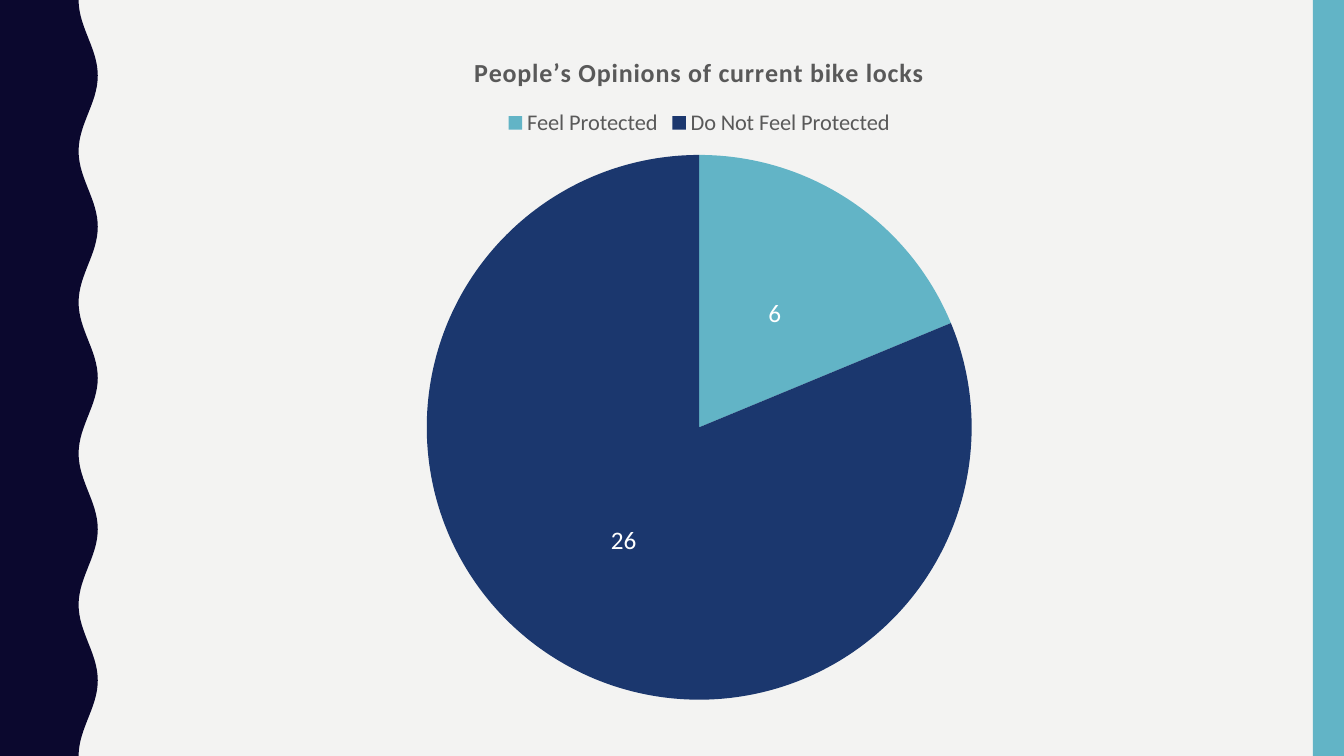
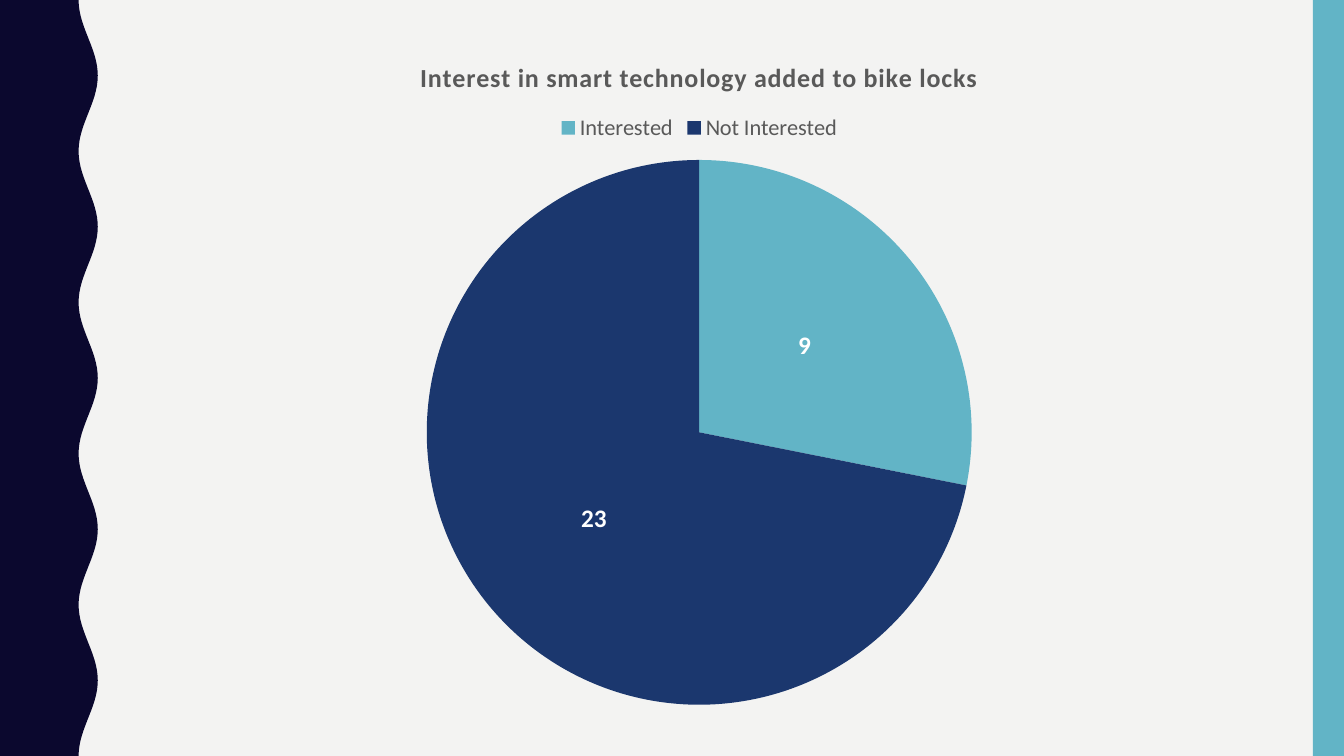
import math
from dataclasses import dataclass

from pptx import Presentation
from pptx import util as u
from pptx.chart.data import CategoryChartData
from pptx.dml.color import RGBColor
from pptx.enum import chart as ch, shapes


@dataclass(frozen=True)
class Theme:
    font: str = "Calibri"
    paper: str = "F3F3F2"
    wave: str = "0B082E"
    teal: str = "62B4C6"
    navy: str = "1B376E"
    grey: str = "595959"
    white: str = "FFFFFF"
    title: float = 18.6
    legend: float = 16
    label: float = 18


theme = Theme()


def paint(fill, color):
    fill.solid()
    fill.fore_color.rgb = RGBColor.from_string(color)


def style(font, size, color, bold=False):
    font.name = theme.font
    font.size = u.Pt(size)
    font.bold = bold
    font.color.rgb = RGBColor.from_string(color)


W, H = 13.33, 7.5
BAND = 0.31
WAVE_MID, WAVE_DEPTH, WAVE_PERIOD, STEP = 0.875, 0.095, 1.5, 0.05

prs = Presentation()
prs.slide_width, prs.slide_height = u.Inches(W), u.Inches(H)
blank = prs.slide_layouts[6]
master = prs.slide_master
paint(master.background.fill, theme.paper)

slides = [
    ("People’s Opinions of current bike locks",
     ("Feel Protected", "Do Not Feel Protected"), (6, 26), 0.3, False),
    ("Interest in smart technology added to bike locks",
     ("Interested", "Not Interested"), (9, 23), 0.35, True),
]

for i, (title, cats, vals, top, bold) in enumerate(slides):
    s = prs.slides.add_slide(blank)

    if i == 0:
        edge = []
        for n in range(round(H / STEP) + 1):
            y = n * STEP
            x = WAVE_MID - WAVE_DEPTH * math.cos(2 * math.pi * y / WAVE_PERIOD)
            edge.append((u.Inches(x), u.Inches(y)))
        fb = s.shapes.build_freeform(0, 0)
        fb.add_line_segments(edge + [(0, u.Inches(H))], close=True)
        wave = fb.convert_to_shape()
        band = s.shapes.add_shape(shapes.MSO_SHAPE.RECTANGLE, u.Inches(W - BAND), 0,
                                  u.Inches(BAND), u.Inches(H))
        for n, (sp, color) in enumerate(((wave, theme.wave), (band, theme.teal))):
            paint(sp.fill, color)
            sp.line.fill.background()
            sp.shadow.inherit = False
            sp._element.nvSpPr.cNvPr.set("id", str(100 + n))
            master.shapes._spTree.append(sp._element)

    data = CategoryChartData()
    data.categories = cats
    data.add_series("Series 1", vals)
    chart = s.shapes.add_chart(ch.XL_CHART_TYPE.PIE, u.Inches(1.37), u.Inches(top),
                               u.Inches(11.13), u.Inches(6.78), data).chart
    style(chart.font, 10, theme.grey)

    tf = chart.chart_title.text_frame
    tf.text = title
    p = tf.paragraphs[0]
    style(p.font, theme.title, theme.grey, True)
    p.font._rPr.set("spc", "50")
    chart.chart_title.include_in_layout = False

    chart.has_legend = True
    chart.legend.position = ch.XL_LEGEND_POSITION.TOP
    chart.legend.include_in_layout = False
    style(chart.legend.font, theme.legend, theme.grey)

    plot = chart.plots[0]
    plot.vary_by_categories = True
    for n, color in enumerate((theme.teal, theme.navy)):
        point = plot.series[0].points[n]
        paint(point.format.fill, color)
        point.format.line.fill.background()
    plot.has_data_labels = True
    labels = plot.data_labels
    labels.show_value = True
    labels.show_percentage = False
    labels.position = ch.XL_LABEL_POSITION.CENTER
    style(labels.font, theme.label, theme.white, bold)

prs.save("out.pptx")
